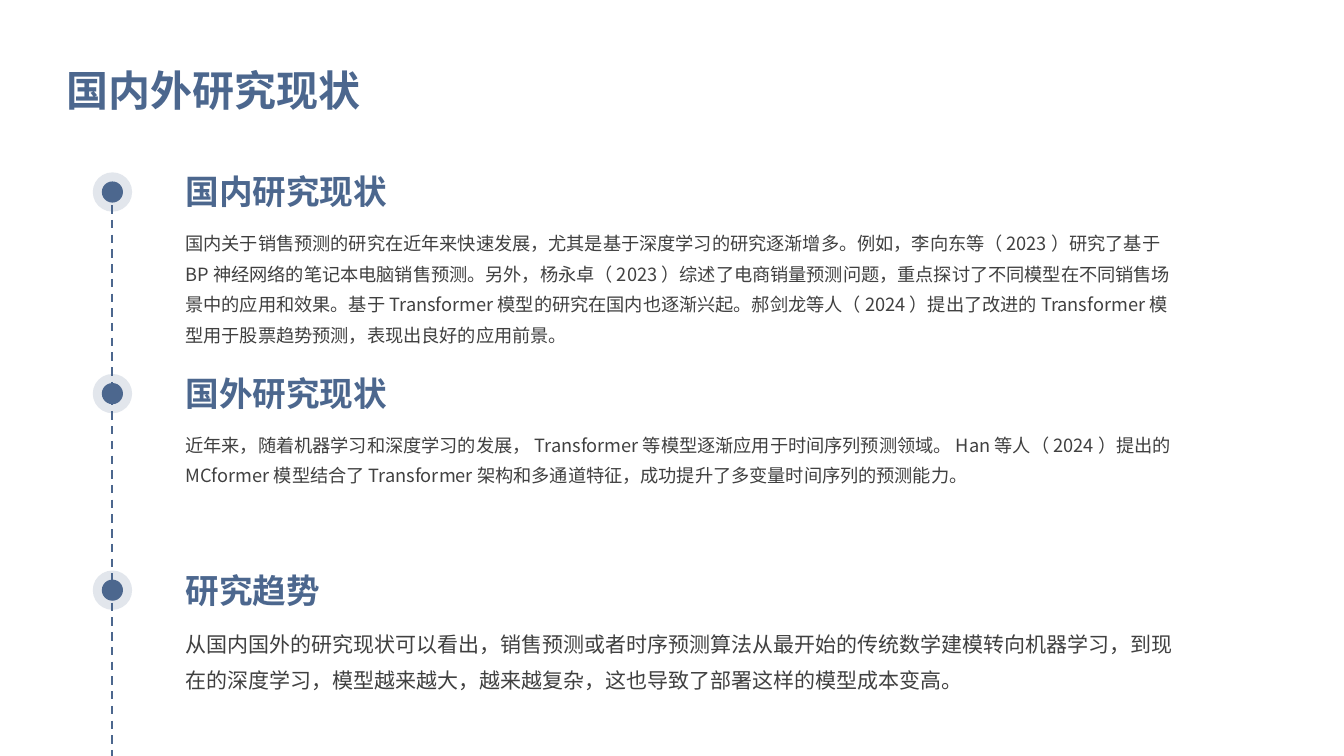
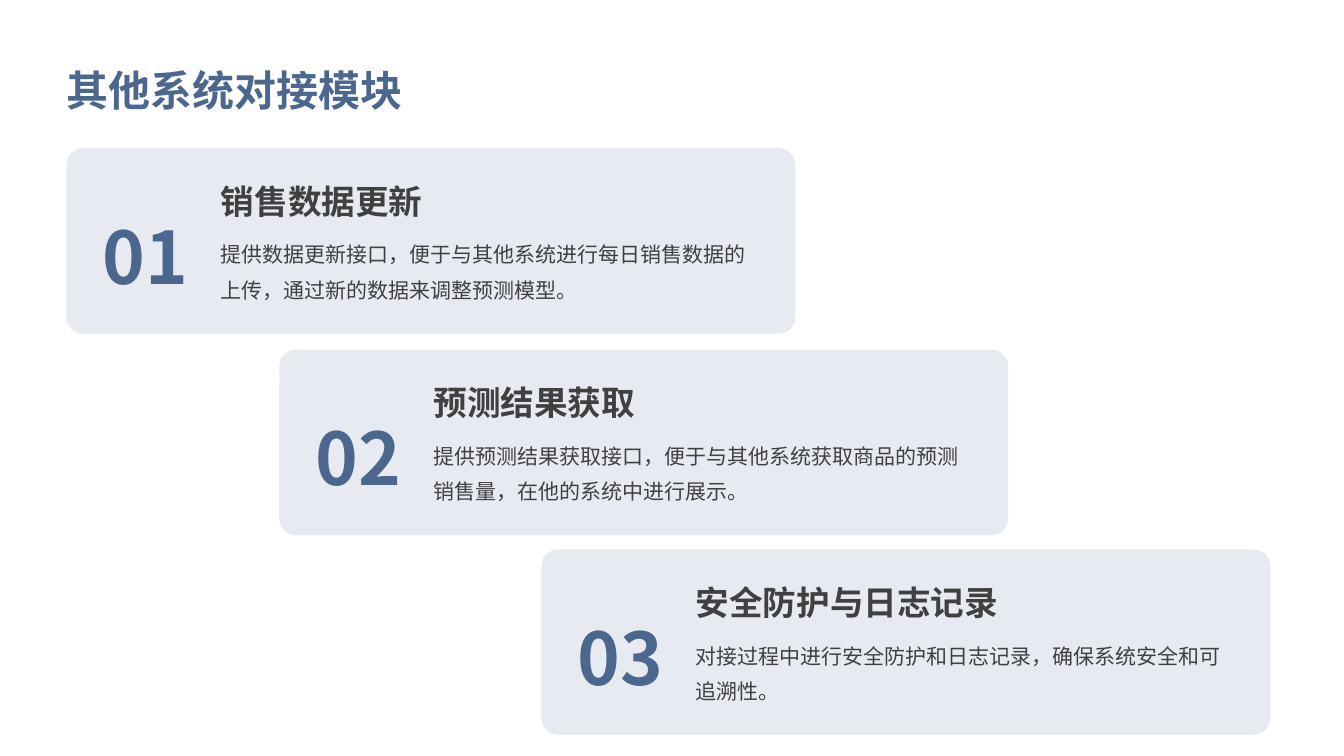
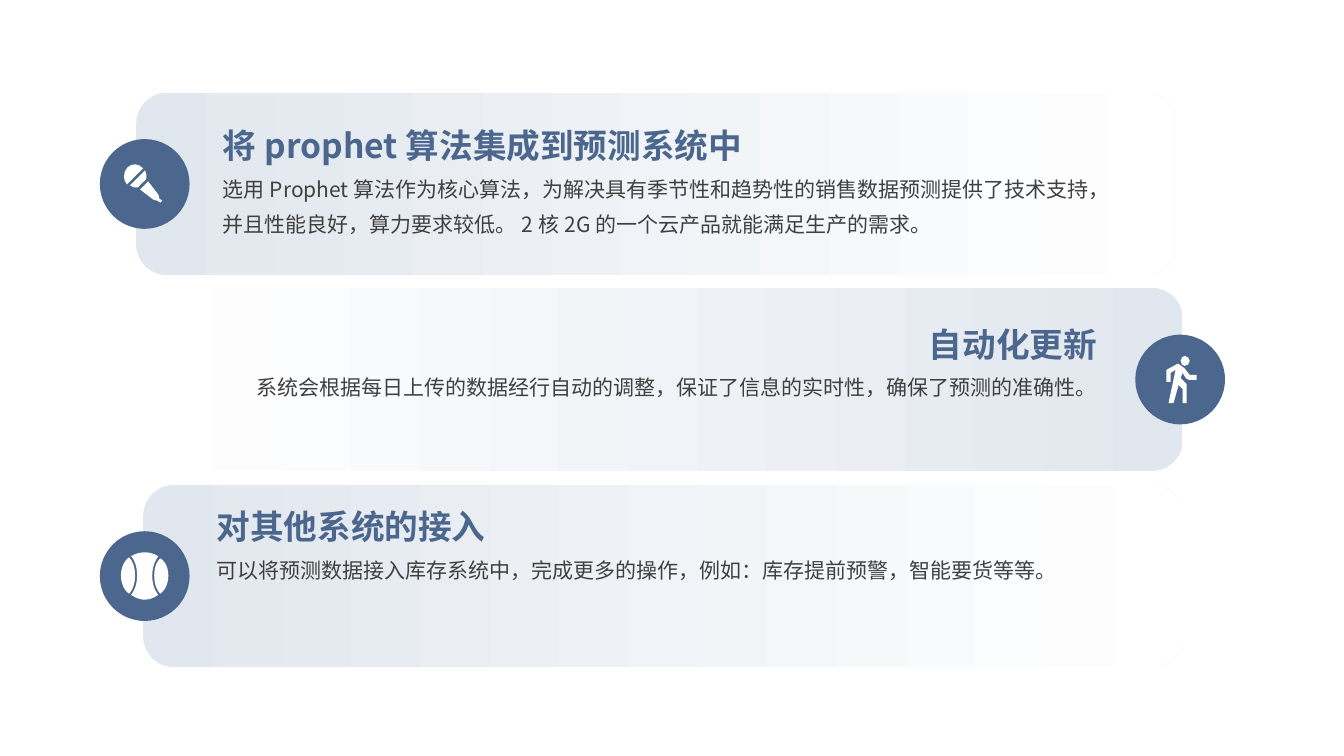
from dataclasses import dataclass

import pptx
import pptx.dml.color
import pptx.enum.dml
import pptx.enum.shapes
import pptx.enum.text
import pptx.oxml.ns
import pptx.util
from lxml import etree

Inches = pptx.util.Inches
Pt = pptx.util.Pt
RGB = pptx.dml.color.RGBColor
Shape = pptx.enum.shapes.MSO_SHAPE
Anchor = pptx.enum.text.MSO_ANCHOR
Align = pptx.enum.text.PP_ALIGN
qn = pptx.oxml.ns.qn


@dataclass(frozen=True)
class Theme:
    font: str = "Noto Sans CJK SC"
    accent: RGB = RGB(0x4C, 0x67, 0x8E)
    ink: RGB = RGB(0x40, 0x40, 0x40)
    panel: RGB = RGB(0xE1, 0xE7, 0xEE)
    white: RGB = RGB(0xFF, 0xFF, 0xFF)
    title: float = 30
    heading: float = 24
    body: float = 15
    small_body: float = 13
    number: float = 51.8
    heading_spacing: float = 1.2
    body_spacing: float = 1.4


THEME = Theme()
NO_INSETS = (0, 0, 0, 0)
INSETS = (0.12, 0.06, 0.12, 0.06)
TITLE_INSETS = (0.14, 0.14, 0.06, 0.14)


@dataclass(frozen=True)
class Box:
    left: float
    top: float
    width: float
    height: float

    def lengths(self) -> tuple:
        return tuple(Inches(v) for v in (self.left, self.top, self.width, self.height))


@dataclass(frozen=True)
class TextStyle:
    size: float
    color: RGB
    bold: bool = False
    spacing: float = THEME.heading_spacing
    anchor: Anchor = Anchor.TOP
    align: Align = Align.LEFT
    insets: tuple = INSETS
    space_before: float = 0


@dataclass(frozen=True)
class Milestone:
    top: float
    heading: str
    body: str
    body_height: float
    body_size: float


@dataclass(frozen=True)
class Card:
    left: float
    top: float
    heading: str
    body: str


@dataclass(frozen=True)
class Icon:
    """Outline in hundredths of an inch from the badge corner; square frame."""
    inset: int
    size: int
    outline: str


@dataclass(frozen=True)
class Feature:
    left: float
    top: float
    text_left: float
    text_top: float
    heading: str
    body: str
    icon: Icon
    mirrored: bool = False


MICROPHONE = Icon(21, 44, (
    "M 46 40 C 47 37 46 34 45 31 L 30 46 C 32 48 35 48 38 48 C 38 47 46 40 46 40 Z "
    "M 43 29 C 41 27 38 25 35 25 C 29 25 24 30 24 37 C 24 40 25 43 27 45 L 43 29 Z "
    "M 59 59 C 59 59 59 56 58 55 L 48 42 L 40 50 L 53 60 C 54 61 57 61 57 61 "
    "L 60 63 L 62 61 L 59 59 Z"
))
WALKER = Icon(21, 46, (
    "M 47 38 L 50 43 C 51 44 53 45 54 45 L 61 45 L 61 40 L 54 40 L 50 35 "
    "C 50 34 48 33 47 32 L 44 30 C 44 29 43 29 42 29 C 41 29 41 29 40 30 "
    "L 31 35 L 31 47 L 35 47 L 35 38 L 40 35 L 33 68 L 38 68 L 43 50 L 47 54 "
    "L 47 68 L 51 68 L 51 49 L 45 43 L 47 38 Z "
    "M 49 31 C 52 31 54 29 54 26 C 54 24 52 21 49 21 C 47 21 45 24 45 26 "
    "C 45 29 47 31 49 31 Z"
))
BALL = Icon(14, 61, (
    "M 52 44 C 52 32 58 25 58 25 C 58 25 53 21 45 21 C 36 21 31 25 31 25 "
    "C 31 25 37 30 37 44 C 37 57 31 63 31 63 C 31 63 37 68 45 68 "
    "C 52 68 58 63 58 63 C 58 63 52 57 52 44 Z "
    "M 29 26 C 29 26 21 31 21 44 C 21 57 29 62 29 62 C 29 62 35 57 35 44 "
    "C 35 31 29 26 29 26 Z "
    "M 60 27 C 60 27 54 31 54 44 C 54 57 60 62 60 62 C 60 62 68 57 68 44 "
    "C 68 31 60 27 60 27 Z"
))
# Outline command: element name and number of points.
PATH_COMMANDS = {"M": ("a:moveTo", 1), "L": ("a:lnTo", 1),
                 "C": ("a:cubicBezTo", 3), "Z": ("a:close", 0)}

MILESTONES = (
    Milestone(1.49, "国内研究现状",
              "国内关于销售预测的研究在近年来快速发展，尤其是基于深度学习的研究逐渐增多。"
              "例如，李向东等（2023）研究了基于BP神经网络的笔记本电脑销售预测。"
              "另外，杨永卓（2023）综述了电商销量预测问题，重点探讨了不同模型在不同销售场景中的应用和效果。"
              "基于Transformer模型的研究在国内也逐渐兴起。"
              "郝剑龙等人（2024）提出了改进的Transformer模型用于股票趋势预测，表现出良好的应用前景。",
              1.37, THEME.small_body),
    Milestone(3.49, "国外研究现状",
              "近年来，随着机器学习和深度学习的发展，Transformer等模型逐渐应用于时间序列预测领域。"
              "Han等人（2024）提出的MCformer模型结合了Transformer架构和多通道特征，"
              "成功提升了多变量时间序列的预测能力。",
              0.84, THEME.small_body),
    Milestone(5.44, "研究趋势",
              "从国内国外的研究现状可以看出，销售预测或者时序预测算法从最开始的传统数学建模转向机器学习，"
              "到现在的深度学习，模型越来越大，越来越复杂，这也导致了部署这样的模型成本变高。",
              0.84, THEME.body),
)
CARDS = (
    Card(0.66, 1.47, "销售数据更新",
         "提供数据更新接口，便于与其他系统进行每日销售数据的上传，通过新的数据来调整预测模型。"),
    Card(2.77, 3.47, "预测结果获取",
         "提供预测结果获取接口，便于与其他系统获取商品的预测销售量，在他的系统中进行展示。"),
    Card(5.37, 5.45, "安全防护与日志记录",
         "对接过程中进行安全防护和日志记录，确保系统安全和可追溯性。"),
)
FEATURES = (
    Feature(1.35, 0.92, 2.09, 1.09, "将prophet算法集成到预测系统中",
            "选用Prophet算法作为核心算法，为解决具有季节性和趋势性的销售数据预测提供了技术支持，"
            "并且性能良好，算力要求较低。2核2G的一个云产品就能满足生产的需求。", MICROPHONE),
    Feature(1.42, 2.86, 2.03, 3.06, "自动化更新",
            "系统会根据每日上传的数据经行自动的调整，保证了信息的实时性，确保了预测的准确性。",
            WALKER, mirrored=True),
    Feature(1.42, 4.81, 2.03, 4.87, "对其他系统的接入",
            "可以将预测数据接入库存系统中，完成更多的操作，例如：库存提前预警，智能要货等等。", BALL),
)


def add_text(slide, box: Box, text: str, style: TextStyle) -> None:
    frame = slide.shapes.add_textbox(*box.lengths()).text_frame
    frame.word_wrap = True
    frame.vertical_anchor = style.anchor
    (frame.margin_left, frame.margin_top,
     frame.margin_right, frame.margin_bottom) = map(Inches, style.insets)
    paragraph = frame.paragraphs[0]
    paragraph.text = text
    paragraph.alignment = style.align
    paragraph.line_spacing = style.spacing
    paragraph.space_before = Pt(style.space_before)
    font = paragraph.font
    font.size = Pt(style.size)
    font.bold = style.bold
    font.color.rgb = style.color
    font.name = THEME.font
    east_asian = etree.SubElement(font._element, qn("a:ea"))
    east_asian.set("typeface", THEME.font)


def fill_plain(shape, color: RGB, opacity: int = 100) -> None:
    """Give a shape a solid fill, with no outline or shadow."""
    shape.shadow.inherit = False
    shape.line.fill.background()
    shape.fill.solid()
    shape.fill.fore_color.rgb = color
    if opacity < 100:
        rgb = shape._element.spPr.find(qn("a:solidFill")).find(qn("a:srgbClr"))
        etree.SubElement(rgb, qn("a:alpha")).set("val", str(opacity * 1000))


def add_circle(slide, left: float, top: float, size: float, opacity: int = 100) -> None:
    circle = slide.shapes.add_shape(Shape.OVAL, *Box(left, top, size, size).lengths())
    fill_plain(circle, THEME.accent, opacity)


def add_panel(slide, box: Box, corner: float, opacity: int = 100):
    panel = slide.shapes.add_shape(Shape.ROUNDED_RECTANGLE, *box.lengths())
    panel.adjustments[0] = corner
    fill_plain(panel, THEME.panel, opacity)
    return panel


def add_icon(slide, badge_left: float, badge_top: float, icon: Icon) -> None:
    """Start from a square freeform and redraw its outline with true curves."""
    side = icon.size
    builder = slide.shapes.build_freeform(0, 0, scale=Inches(0.01))
    builder.add_line_segments([(side, 0), (side, side), (0, side)], close=True)
    inset = icon.inset / 100
    drawing = builder.convert_to_shape(Inches(badge_left + inset), Inches(badge_top + inset))
    fill_plain(drawing, THEME.white)

    outline = next(drawing._element.iter(qn("a:path")))
    for segment in list(outline):
        outline.remove(segment)
    tokens = iter(icon.outline.split())
    for command in tokens:
        tag, point_count = PATH_COMMANDS[command]
        segment = etree.SubElement(outline, qn(tag))
        for _ in range(point_count):
            point = etree.SubElement(segment, qn("a:pt"))
            for axis in ("x", "y"):
                point.set(axis, str(int(next(tokens)) - icon.inset))


def add_title(slide, text: str) -> None:
    add_text(slide, Box(0.52, 0.29, 12.29, 1), text,
             TextStyle(THEME.title, THEME.accent, True, THEME.body_spacing,
                       Anchor.MIDDLE, insets=TITLE_INSETS))


def add_milestone(slide, item: Milestone) -> None:
    add_text(slide, Box(1.84, item.top, 9.78, 0.61), item.heading,
             TextStyle(THEME.heading, THEME.accent, True, anchor=Anchor.BOTTOM,
                       insets=NO_INSETS))
    add_text(slide, Box(1.84, item.top + 0.73, 9.81, item.body_height), item.body,
             TextStyle(item.body_size, THEME.ink, spacing=THEME.body_spacing,
                       insets=NO_INSETS))
    add_circle(slide, 1.01, item.top + 0.31, 0.21)
    add_circle(slide, 0.92, item.top + 0.22, 0.39, opacity=16)


def add_timeline(slide) -> None:
    timeline = slide.shapes.add_connector(
        pptx.enum.shapes.MSO_CONNECTOR.STRAIGHT,
        Inches(1.11), Inches(1.89), Inches(1.11), Inches(7.59))
    timeline.line.color.rgb = THEME.accent
    timeline.line.width = Pt(1.5)
    timeline.line.dash_style = pptx.enum.dml.MSO_LINE.DASH
    properties = timeline._element.spPr
    arrowhead = etree.SubElement(properties.find(qn("a:ln")), qn("a:tailEnd"))
    arrowhead.set("type", "triangle")
    etree.SubElement(properties, qn("a:effectLst"))


def add_card(slide, number: int, card: Card) -> None:
    text_left = card.left + 1.41
    add_panel(slide, Box(card.left, card.top, 7.23, 1.84), 0.09, opacity=80)
    add_text(slide, Box(card.left + 0.16, card.top + 0.37, 1.25, 1.21), f"{number:02}",
             TextStyle(THEME.number, THEME.accent, True, anchor=Anchor.MIDDLE,
                       align=Align.CENTER, space_before=4.5))
    add_text(slide, Box(text_left, card.top + 0.15, 3.82, 0.63), card.heading,
             TextStyle(THEME.heading, THEME.ink, True, anchor=Anchor.BOTTOM))
    add_text(slide, Box(text_left, card.top + 0.77, 5.46, 0.89), card.body,
             TextStyle(THEME.body, THEME.ink, spacing=THEME.body_spacing))


def add_feature(slide, item: Feature) -> None:
    panel = add_panel(slide, Box(item.left, item.top, 10.31, 1.81), 0.17)
    panel.fill.gradient()
    panel.fill.gradient_angle = 0
    colors = (THEME.panel, THEME.white)
    for stop, color in zip(panel.fill.gradient_stops,
                           reversed(colors) if item.mirrored else colors):
        stop.color.rgb = color

    badge_left = 11.26 if item.mirrored else 0.99
    badge_top = item.top + 0.46
    add_circle(slide, badge_left, badge_top, 0.89)
    add_icon(slide, badge_left, badge_top, item.icon)

    align = Align.RIGHT if item.mirrored else Align.LEFT
    add_text(slide, Box(item.text_left, item.text_top, 8.97, 0.62), item.heading,
             TextStyle(THEME.heading, THEME.accent, True, anchor=Anchor.MIDDLE, align=align))
    add_text(slide, Box(item.text_left, item.text_top + 0.5, 8.97, 0.85), item.body,
             TextStyle(THEME.body, THEME.ink, spacing=THEME.body_spacing, align=align))


def main() -> None:
    deck = pptx.Presentation()
    deck.slide_width, deck.slide_height = Inches(13.33), Inches(7.5)
    blank = deck.slide_layouts[6]

    research = deck.slides.add_slide(blank)
    add_title(research, "国内外研究现状")
    for milestone in MILESTONES:
        add_milestone(research, milestone)
    add_timeline(research)

    integration = deck.slides.add_slide(blank)
    add_title(integration, "其他系统对接模块")
    for number, card in enumerate(CARDS, start=1):
        add_card(integration, number, card)

    highlights = deck.slides.add_slide(blank)
    for feature in FEATURES:
        add_feature(highlights, feature)

    deck.save("out.pptx")


if __name__ == "__main__":
    main()
